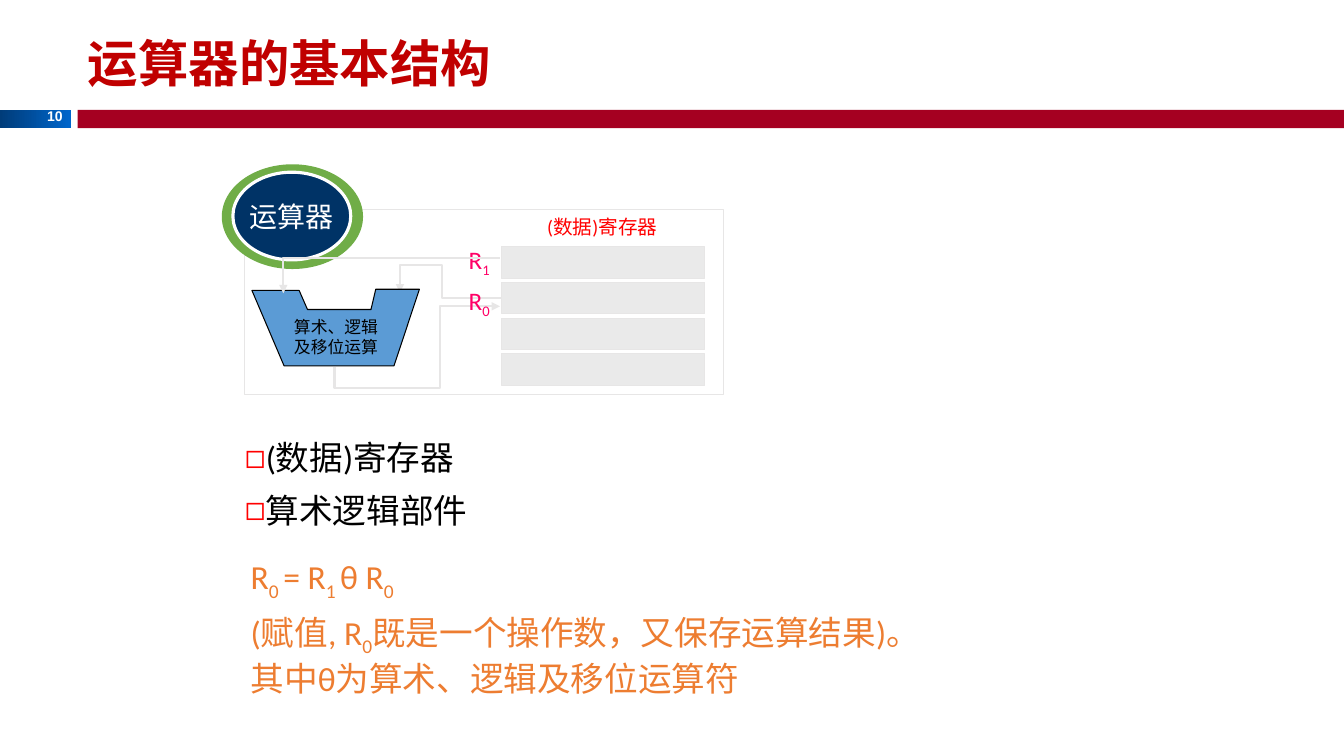
"""Build the slide on the basic structure of the arithmetic unit."""
from lxml.etree import SubElement
from pptx import Presentation
from pptx.dml.color import RGBColor
from pptx.enum.shapes import MSO_SHAPE
from pptx.enum.text import MSO_ANCHOR, MSO_AUTO_SIZE, PP_ALIGN
from pptx.oxml.ns import qn
from pptx.util import Cm, Pt

COLORS = {
    "title": "C00000", "bar": "A50021", "tab_dark": "003C79", "tab_light": "0066CC",
    "white": "FFFFFF", "black": "000000", "wire": "E7E6E6", "register": "EAEAEA",
    "alu": "5B9BD5", "ring": "70AD47", "core": "003366", "red": "FF0000",
    "operand": "FF0066", "formula": "ED7D31",
}
CJK = "Noto Sans CJK SC"
LATIN = "Calibri"


def color(name):
    return RGBColor.from_string(COLORS[name])


def place(s, left, top, width, height):
    s.left, s.top, s.width, s.height = Cm(left), Cm(top), Cm(width), Cm(height)


def paint(s, fill=None, line=None, weight=0.75):
    s.shadow.inherit = False
    if fill:
        s.fill.solid()
        s.fill.fore_color.rgb = color(fill)
    else:
        s.fill.background()
    if line:
        s.line.color.rgb = color(line)
        s.line.width = Pt(weight)
    else:
        s.line.fill.background()


def add_box(slide, kind, box, fill, line=None, weight=0.75):
    s = slide.shapes.add_shape(kind, *map(Cm, box))
    paint(s, fill, line, weight)
    return s


def add_outline(slide, points, closed):
    start, *rest = [(Cm(x), Cm(y)) for x, y in points]
    builder = slide.shapes.build_freeform(*start)
    builder.add_line_segments(rest, close=closed)
    return builder.convert_to_shape()


def add_wire(slide, points):
    s = add_outline(slide, points, False)
    paint(s, line="wire", weight=1.5)
    SubElement(s.line._get_or_add_ln(), qn("a:tailEnd"), type="triangle")


def style_run(r, size, name, font=LATIN, bold=False):
    r.font.size, r.font.name, r.font.bold = Pt(size), font, bold
    r.font.color.rgb = color(name)
    SubElement(r._r.get_or_add_rPr(), qn("a:ea"), typeface=CJK)


def write(tf, paragraphs, size, name, font=LATIN, bold=False, align=PP_ALIGN.LEFT, gap=0):
    """Fill a frame; each paragraph is a list whose odd items are subscripts."""
    for i, parts in enumerate(paragraphs):
        p = tf.add_paragraph() if i else tf.paragraphs[0]
        p.alignment = align
        p.space_before = Pt(gap if i else 0)
        for j, text in enumerate(parts):
            r = p.add_run()
            r.text = text
            style_run(r, size, name, font, bold)
            if j % 2:
                r._r.get_or_add_rPr().set("baseline", "-25000")


def add_text(slide, box, paragraphs, size, name, wrap=True, **style):
    tf = slide.shapes.add_textbox(*map(Cm, box)).text_frame
    tf.word_wrap = wrap
    write(tf, paragraphs, size, name, **style)


def add_header(slide):
    tab = add_box(slide, MSO_SHAPE.RECTANGLE, (0, 2.77, 1.8, 0.46), "tab_dark")
    tab.fill.gradient()
    tab.fill.gradient_angle = 0
    for stop, name in zip(tab.fill.gradient_stops, ("tab_dark", "tab_light")):
        stop.color.rgb = color(name)
    add_box(slide, MSO_SHAPE.RECTANGLE, (1.96, 2.77, 31.91, 0.46), "bar")
    add_text(slide, (0.89, 2.59, 0.94, 0.69), [["10"]], 10, "white", wrap=False,
             font="Arial", bold=True, align=PP_ALIGN.RIGHT)
    title = slide.shapes.title
    place(title, 1.96, 0.51, 29.64, 2.11)
    tf = title.text_frame
    tf.auto_size, tf.vertical_anchor = MSO_AUTO_SIZE.NONE, MSO_ANCHOR.MIDDLE
    write(tf, [["运算器的基本结构"]], 36, "title", font=CJK, bold=True)


def add_registers(slide):
    add_text(slide, (13.54, 5.28, 3.71, 0.84), [["(数据)寄存器"]], 14, "red")
    for i in range(4):
        add_box(slide, MSO_SHAPE.RECTANGLE, (12.65, 6.22 + 0.9 * i, 5.11, 0.79),
                "register", "wire")
    for i, index in enumerate("10"):
        add_text(slide, (11.56, 6.02 + 1.04 * i, 1.19, 1.02), [["R", index]],
                 18, "operand", wrap=False)


def add_alu(slide):
    alu = add_outline(slide, [(7.54, 7.32), (6.35, 7.32), (7.16, 9.22), (9.93, 9.22),
                              (10.57, 7.29), (9.47, 7.29), (9.35, 7.8), (7.75, 7.8)], True)
    paint(alu, "alu", "black")
    add_text(slide, (7.16, 7.85, 2.69, 1.27), [["算术、逻辑及移位运算"]], 12, "black")


def add_badge(slide):
    ring = add_box(slide, MSO_SHAPE.DONUT, (5.59, 4.14, 3.56, 2.64), "ring")
    ring.adjustments[0] = 0.12
    core = add_box(slide, MSO_SHAPE.OVAL, (5.87, 4.34, 2.97, 2.21), "core", "white", 2.25)
    tf = core.text_frame
    tf.word_wrap, tf.vertical_anchor = False, MSO_ANCHOR.MIDDLE
    write(tf, [["运算器"]], 20, "white", font=CJK, align=PP_ALIGN.CENTER)


def add_parts_list(slide):
    body = slide.placeholders[1]
    place(body, 5.92, 10.59, 6.43, 2.92)
    tf = body.text_frame
    tf.auto_size, tf.word_wrap = MSO_AUTO_SIZE.NONE, False
    write(tf, [["(数据)寄存器"], ["算术逻辑部件"]], 24, "black")
    for p in tf.paragraphs:
        p.line_spacing = 1.3
        pPr = p._p.get_or_add_pPr()
        pPr.set("marL", "0")
        pPr.set("indent", "0")
        SubElement(SubElement(pPr, qn("a:buClr")), qn("a:srgbClr"), val=COLORS["red"])
        SubElement(pPr, qn("a:buChar"), char="◻")


def main():
    prs = Presentation()
    prs.slide_width, prs.slide_height = Cm(33.87), Cm(19.05)
    slide = prs.slides.add_slide(prs.slide_layouts[1])
    add_header(slide)
    add_box(slide, MSO_SHAPE.RECTANGLE, (6.17, 5.28, 12.07, 4.67), "white", "wire")
    add_wire(slide, [(12.62, 7.52), (11.15, 7.52), (11.15, 6.68), (10.08, 6.68), (10.08, 7.37)])
    add_alu(slide)
    add_wire(slide, [(8.43, 9.25), (8.43, 9.78), (11.1, 9.78), (11.1, 7.72), (12.6, 7.72)])
    add_registers(slide)
    add_badge(slide)
    add_wire(slide, [(12.6, 6.5), (7.14, 6.5), (7.14, 7.39)])
    add_parts_list(slide)
    add_text(slide, (6.07, 13.89, 18.01, 3.63), [
        ["R", "0 ", "= R", "1 ", "θ R", "0"],
        ["(赋值, R", "0", "既是一个操作数，又保存运算结果)。其中θ为算术、逻辑及移位运算符"],
    ], 24, "formula", gap=7)
    prs.save("out.pptx")


if __name__ == "__main__":
    main()
